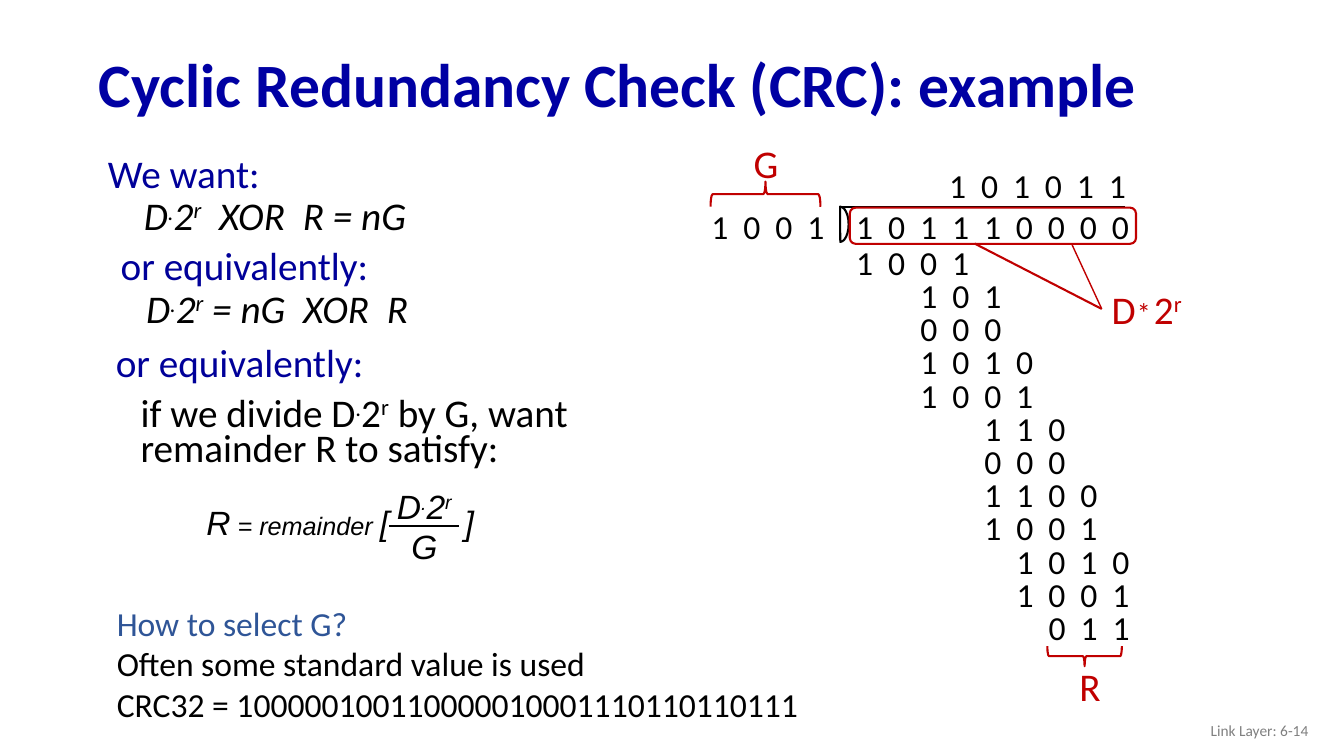
from lxml import etree
from pptx import Presentation
from pptx.dml.color import RGBColor
from pptx.enum.shapes import MSO_CONNECTOR, MSO_SHAPE
from pptx.enum.text import MSO_ANCHOR, PP_ALIGN
from pptx.oxml.ns import qn
from pptx.util import Pt

NAVY = RGBColor(0x00, 0x00, 0xA3)
BLUE = RGBColor(0x00, 0x00, 0x99)
STEEL = RGBColor(0x2F, 0x55, 0x97)
RED = RGBColor(0xC0, 0x00, 0x00)
BLACK = RGBColor(0, 0, 0)
GRAY = RGBColor(0x80, 0x80, 0x80)
LEFT, MID, RIGHT = PP_ALIGN.LEFT, PP_ALIGN.CENTER, PP_ALIGN.RIGHT
TOP, CENTER = MSO_ANCHOR.TOP, MSO_ANCHOR.MIDDLE
LINE = MSO_CONNECTOR.STRAIGHT
BRACE, PIE, ROUND = MSO_SHAPE.RIGHT_BRACE, MSO_SHAPE.PIE, MSO_SHAPE.ROUNDED_RECTANGLE

PITCH = 22.9  # distance between digit columns
STEP = 23.7   # distance between rows of the division
TRACK = 2.65  # letter spacing that brings digits to the pitch
POWER = [("D", 0), (".", 26), ("2", 0), ("r", 30)]


def frame(slide, x, y, w, h, anchor=TOP):
    box = slide.shapes.add_textbox(Pt(x), Pt(y), Pt(w), Pt(h))
    box.text_frame.word_wrap = True
    box.text_frame.vertical_anchor = anchor
    return box


def write(box, runs, size, color=BLACK, font="Calibri", bold=False, italic=False,
          align=LEFT, space=None, before=0, margin=0, indent=0, track=0):
    """Add one paragraph; each run is (text, raise in percent[, size])."""
    text = box.text_frame
    para = text.paragraphs[0]
    if para.runs:
        para = text.add_paragraph()
        para.space_before = Pt(before)
    para.alignment = align
    if space:
        para.line_spacing = space
    props = para._p.get_or_add_pPr()
    props.set("marL", str(Pt(margin)))
    props.set("indent", str(Pt(indent)))
    for words, rise, *own in runs:
        run = para.add_run()
        run.text = words
        run.font.name = font
        run.font.size = Pt(own[0] if own else size)
        run.font.bold, run.font.italic = bold, italic
        run.font.color.rgb = color
        if rise:
            run.font._element.set("baseline", str(rise * 1000))
        if track:
            run.font._element.set("spc", str(round(track * 100)))


def stroke(slide, x1, y1, x2, y2, color, width=1.5):
    line = slide.shapes.add_connector(LINE, Pt(x1), Pt(y1), Pt(x2), Pt(y2))
    line.line.color.rgb = color
    line.line.width = Pt(width)
    etree.SubElement(line._element.spPr, qn("a:effectLst"))
    return line


def outline(slide, kind, x, y, w, h, color, turn=0):
    shape = slide.shapes.add_shape(kind, Pt(x), Pt(y), Pt(w), Pt(h))
    shape.shadow.inherit = False
    shape.fill.background()
    shape.line.color.rgb = color
    shape.line.width = Pt(1.5)
    shape.rotation = turn
    return shape


def digits(slide, x, y, bits):
    box = frame(slide, x, y, len(bits) * PITCH + 15, 36)
    write(box, [(" ".join(bits), 0)], 24, track=TRACK)


def label(slide, x, y, w, h, runs, size=28):
    box = frame(slide, x, y, w, h)
    write(box, runs, size, RED)
    return box


def title(slide, x, y, w, h):
    box = frame(slide, x, y, w, h, CENTER)
    write(box, [("Cyclic Redundancy Check (CRC): example", 0)], 44, NAVY,
          bold=True, space=0.9)


def theory(slide, x, y, w):
    # Two forms of the condition
    forms = [(2, 0, 28, -17, "We want:", "  XOR  R = nG"),
             (3.5, 66, 28, -9.4, "or equivalently:", " = nG  XOR  R")]
    for dx, dy, margin, indent, lead, tail in forms:
        box = frame(slide, x + dx, y + dy, w, 75)
        write(box, [(lead, 0)], 28, BLUE, space=0.75, margin=margin, indent=indent)
        write(box, POWER + [(tail, 0)], 28, italic=True, space=0.75, before=5,
              margin=54.7, indent=-18)

    # Condition in words
    box = frame(slide, x, y + 135.2, w, 98.6)
    write(box, [("or equivalently:", 0)], 28, BLUE, space=0.75, margin=28, indent=-9.4)
    write(box, [("if we divide D", 0)] + POWER[1:]
          + [(" by G, want remainder R to satisfy:", 0)],
          28, space=0.75, before=10, margin=36.3)


def formula(slide, x, y):
    box = frame(slide, x, y + 11.5, 160, 37)
    write(box, [("R", 0), (" = remainder ", 0, 18), ("[", 0)], 24,
          font="Arial", italic=True)
    box = frame(slide, x + 184.5, y + 11.5, 30, 37)
    write(box, [("]", 0)], 24, font="Arial", italic=True)
    box = frame(slide, x + 110.2, y, 105, 65)
    for runs in (POWER, [("G", 0)]):
        write(box, runs, 24, font="Arial", italic=True, align=MID)
    stroke(slide, x + 137.5, y + 32.4, x + 187.2, y + 32.4, BLACK)


def choice(slide, x, y, w, h):
    box = frame(slide, x, y, w, h)
    write(box, [("How to select G?", 0)], 24, STEEL)
    for words in ("Often some standard value is used",
                  "CRC32 = 100000100110000010001110110110111"):
        write(box, [(words, 0)], 24)


def division(slide, x, y):
    # Divisor G, quotient and dividend
    left = x + 103.4
    digits(slide, x, y + 47.5, "1001")
    digits(slide, left + 2.9 * PITCH, y + 18.2, "101011")
    digits(slide, left, y + 47.8, "101110000")

    # Steps of the division: first column and bits
    steps = [(0, "1001"), (2, "101"), (2, "000"), (2, "1010"), (2, "1001"),
             (4, "110"), (4, "000"), (4, "1100"), (4, "1001"),
             (5, "1010"), (5, "1001"), (6, "011")]
    for row, (col, bits) in enumerate(steps):
        digits(slide, left + col * PITCH, y + 73.4 + row * STEP, bits)

    # Division sign
    stroke(slide, x + 100, y + 51.8, x + 302.4, y + 51.8, BLACK)
    arc = outline(slide, PIE, x + 86.4, y + 58.3, 25.2, 12.2, BLACK, 270)
    arc.adjustments[0], arc.adjustments[1] = 0, 107.54

    # Braces for G and R
    outline(slide, BRACE, x + 36.7, y + 3.6, 18, 78.5, RED, 270)
    label(slide, x + 30.2, y, 33, 41, [("G", 0)])
    outline(slide, BRACE, x + 266.4, y + 346.3, 14.4, 53.3, RED, 90)
    label(slide, x + 262.8, y + 373.7, 33, 41, [("R", 0)])

    # Frame of the dividend and its label
    outline(slide, ROUND, x + 105.9, y + 52.5, 204.5, 25.9, RED)
    power = label(slide, x + 285.9, y + 104.4, 33, 41, [("D", 0)])
    label(slide, x + 303.9, y + 111.6, 26, 32, [("*", 0)], 20)
    label(slide, x + 316.1, y + 104.4, 36, 41, POWER[2:])
    for dx, width in ((195.1, 1.5), (264.3, 1)):
        line = stroke(slide, x + dx, y + 78.2, x + 285.9, y + 124.9, RED, width)
        line.end_connect(power, 1)


def footer(slide, x, y, w, h):
    box = frame(slide, x, y, w, h, CENTER)
    write(box, [("Link Layer: 6-14", 0)], 11, GRAY, align=RIGHT)


def main():
    deck = Presentation()
    deck.slide_width, deck.slide_height = Pt(960), Pt(540)
    slide = deck.slides.add_slide(deck.slide_layouts[6])
    title(slide, 63.4, 27.4, 828, 70.6)
    theory(slide, 57, 110.9, 392.4)
    formula(slide, 140.4, 343.4)
    choice(slide, 76.3, 427, 510.5, 94.3)
    division(slide, 501.1, 95.8)
    footer(slide, 725.8, 507.6, 216, 28.8)
    deck.save("out.pptx")


if __name__ == "__main__":
    main()
